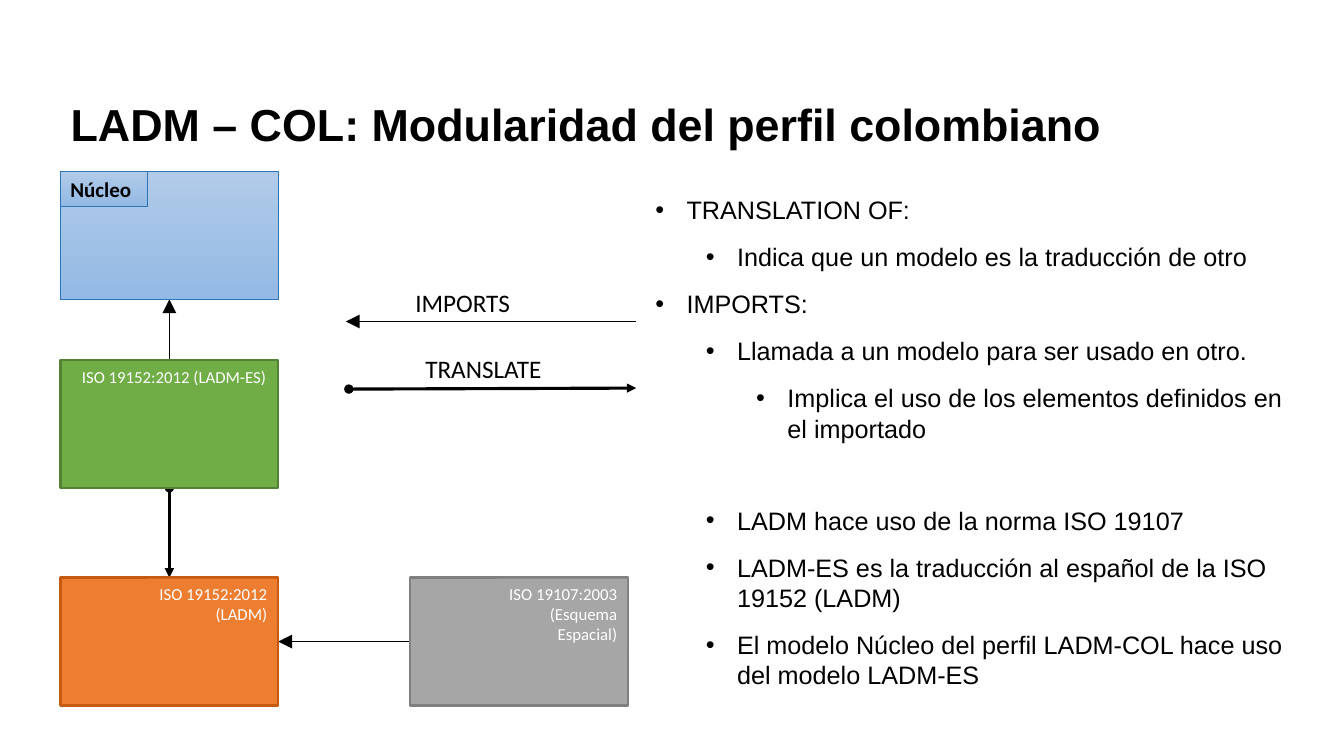
from dataclasses import dataclass

from lxml import etree
from pptx import Presentation
from pptx import util as u
from pptx.dml.color import RGBColor
from pptx.enum import shapes, text
from pptx.oxml.ns import qn

PX = 9144


def px(*lengths):
    return [u.Emu(length * PX) for length in lengths]


@dataclass(frozen=True)
class Theme:
    heading_font: str = "Arial"
    label_font: str = "Calibri"
    title_size: int = 32
    body_size: int = 18
    core_size: int = 15
    label_size: int = 12
    black: str = "000000"
    white: str = "FFFFFF"
    core: tuple = ("B1CBE9", "93B9E4")
    core_line: str = "2E75B6"
    green: str = "70AD47"
    green_line: str = "548235"
    orange: str = "ED7D31"
    orange_line: str = "C55A11"
    grey: str = "A6A6A6"
    grey_line: str = "808080"


class SlideBuilder:
    def __init__(self, presentation, theme):
        self.theme = theme
        self.slide = presentation.slides.add_slide(presentation.slide_layouts[3])
        self.shapes = self.slide.shapes

    def style(self, paragraph, font, size, color, bold=False):
        paragraph.font.name = font
        paragraph.font.size = u.Pt(size)
        paragraph.font.bold = bold
        paragraph.font.color.rgb = RGBColor.from_string(color)

    def place(self, shape, box):
        shape.left, shape.top, shape.width, shape.height = px(*box)
        frame = shape.text_frame
        frame.word_wrap = True
        frame.auto_size = text.MSO_AUTO_SIZE.NONE
        frame.vertical_anchor = text.MSO_ANCHOR.TOP
        return frame

    def title(self, words, box):
        frame = self.place(self.shapes.title, box)
        frame.text = words
        paragraph = frame.paragraphs[0]
        paragraph.alignment = text.PP_ALIGN.LEFT
        paragraph.line_spacing = 0.9
        self.style(paragraph, self.theme.heading_font, self.theme.title_size,
                   self.theme.black, True)

    def bullets(self, index, box, items):
        frame = self.place(self.slide.placeholders[index], box)
        frame.text = "\n".join(words for level, words in items)
        for paragraph, (level, words) in zip(frame.paragraphs, items):
            paragraph.level = level
            properties = paragraph._p.get_or_add_pPr()
            properties.set("marL", str(px(31 + 50 * level)[0]))
            properties.set("indent", str(px(-31)[0]))
            etree.SubElement(properties, qn("a:buFont"), typeface="Arial")
            etree.SubElement(properties, qn("a:buChar"), char="•")
            paragraph.line_spacing = 1.0
            paragraph.space_before = u.Pt(0)
            paragraph.space_after = u.Pt(12)
            self.style(paragraph, self.theme.heading_font, self.theme.body_size,
                       self.theme.black)

    def caption(self, words, box):
        frame = self.place(self.shapes.add_textbox(*px(*box)), box)
        frame.text = words
        self.style(frame.paragraphs[0], self.theme.label_font,
                   self.theme.body_size, self.theme.black)

    def rectangle(self, box, fill, line=None, width=1.5):
        shape = self.shapes.add_shape(shapes.MSO_SHAPE.RECTANGLE, *px(*box))
        shape.shadow.inherit = False
        if isinstance(fill, tuple):
            shape.fill.gradient()
            shape.fill.gradient_angle = 270
            for stop, color in zip(shape.fill.gradient_stops, fill):
                stop.color.rgb = RGBColor.from_string(color)
        else:
            shape.fill.solid()
            shape.fill.fore_color.rgb = RGBColor.from_string(fill)
        if line:
            shape.line.color.rgb = RGBColor.from_string(line)
            shape.line.width = u.Pt(width)
        else:
            shape.line.fill.background()
        return shape

    def module(self, left, top, fill, line, words, label_box, core=False):
        theme = self.theme
        width = 0.5 if core else 1.5
        body = self.rectangle((left, top, 216, 127), fill, line, width)
        label = self.rectangle(label_box, fill, line if core else None, width)
        frame = self.place(label, label_box)
        frame.word_wrap = "\n" in words
        frame.text = words
        for paragraph in frame.paragraphs:
            paragraph.alignment = text.PP_ALIGN.LEFT if core else text.PP_ALIGN.RIGHT
            self.style(paragraph, theme.label_font,
                       theme.core_size if core else theme.label_size,
                       theme.black if core else theme.white, core)
        self.shapes.add_group_shape([body, label])
        return body

    def arrow(self, start, end, translates=False):
        connector = self.shapes.add_connector(
            shapes.MSO_CONNECTOR.STRAIGHT, *px(*start, *end))
        connector.line.color.rgb = RGBColor.from_string(self.theme.black)
        connector.line.width = u.Pt(2.25 if translates else 0.75)
        line = connector.line._get_or_add_ln()
        size = "med" if translates else "lg"
        if translates:
            etree.SubElement(line, qn("a:headEnd"), type="oval")
        etree.SubElement(line, qn("a:tailEnd"), type="triangle", w=size, len=size)
        etree.SubElement(connector._element.spPr, qn("a:effectLst"))
        return connector

    def join(self, source, source_side, target, target_side, translates=False):
        connector = self.arrow((0, 0), (0, 0), translates)
        connector.begin_connect(source, source_side)
        connector.end_connect(target, target_side)
        self.shapes._spTree.insert(2, connector._element)


def main():
    theme = Theme()
    presentation = Presentation()
    presentation.slide_width, presentation.slide_height = px(1333, 750)
    builder = SlideBuilder(presentation, theme)

    builder.title("LADM – COL: Modularidad del perfil colombiano", (60, 97, 1191, 59))
    builder.bullets(1, (640, 188, 650, 259), [
        (0, "TRANSLATION OF:"),
        (1, "Indica que un modelo es la traducción de otro"),
        (0, "IMPORTS:"),
        (1, "Llamada a un modelo para ser usado en otro."),
        (2, "Implica el uso de los elementos definidos en el importado"),
    ])
    builder.bullets(2, (640, 496, 650, 195), [
        (1, "LADM hace uso de la norma ISO 19107"),
        (1, "LADM-ES es la traducción al español de la ISO 19152 (LADM)"),
        (1, "El modelo Núcleo del perfil LADM-COL hace uso del modelo LADM-ES"),
    ])

    core = builder.module(60, 170, theme.core, theme.core_line,
                          "Núcleo", (60, 170, 86, 35), core=True)
    spanish = builder.module(60, 357, theme.green, theme.green_line,
                             "ISO 19152:2012 (LADM-ES)", (68, 359, 206, 30))
    ladm = builder.module(60, 573, theme.orange, theme.orange_line,
                          "ISO 19152:2012\n(LADM)", (146, 574, 129, 50))
    spatial = builder.module(407, 573, theme.grey, theme.grey_line,
                             "ISO 19107:2003\n(Esquema Espacial)", (493, 574, 129, 71))

    builder.join(spanish, 0, core, 2)
    builder.join(spanish, 2, ladm, 0, translates=True)
    builder.join(spatial, 1, ladm, 3)

    builder.caption("IMPORTS", (402, 280, 115, 40))
    builder.arrow((631, 319), (343, 319))
    builder.caption("TRANSLATE", (412, 346, 136, 40))
    builder.arrow((346, 386), (631, 385), translates=True)

    presentation.save("out.pptx")


if __name__ == "__main__":
    main()
